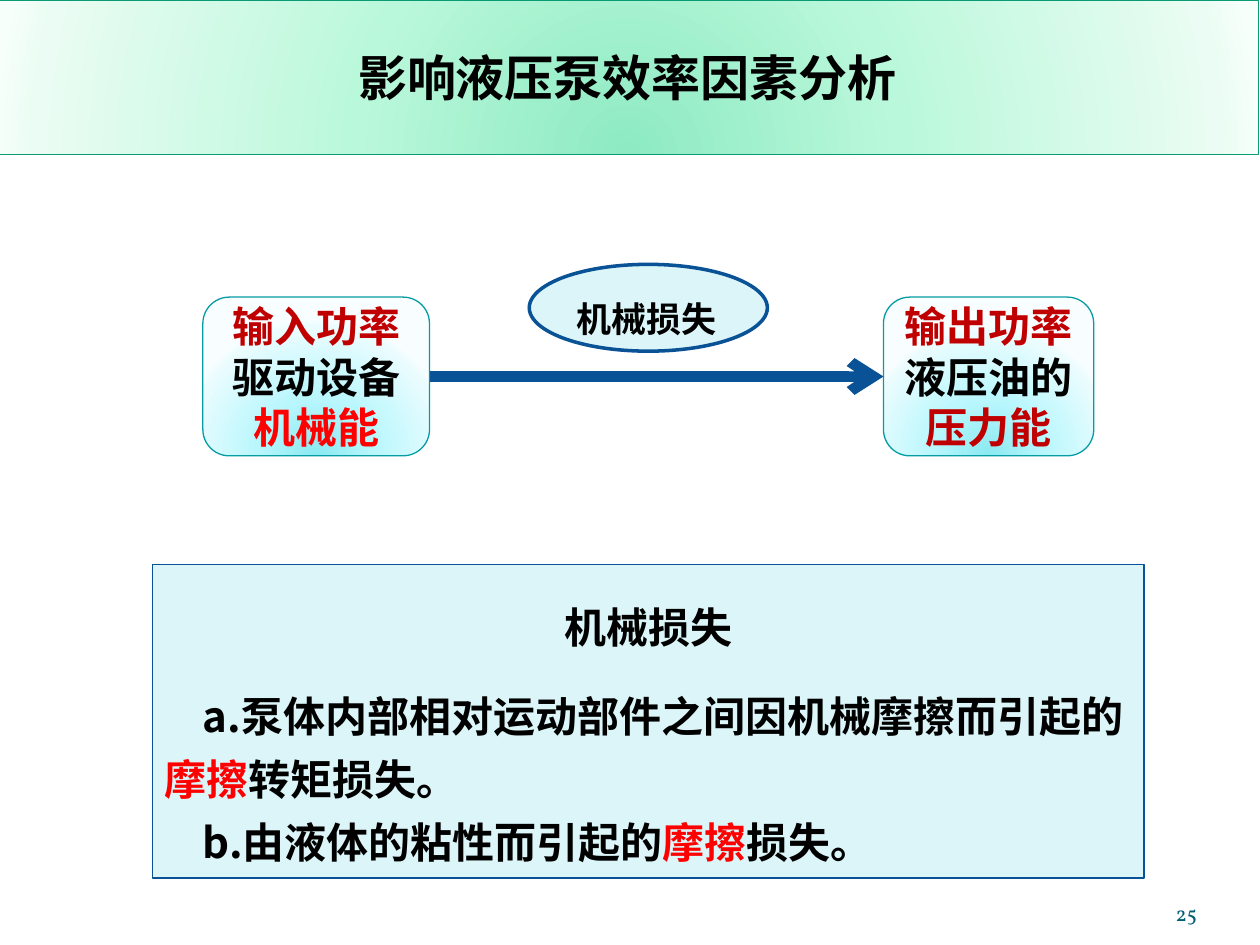
from dataclasses import dataclass

from lxml.etree import SubElement
from pptx import Presentation
from pptx.dml.color import RGBColor
from pptx.enum.shapes import MSO_CONNECTOR, MSO_SHAPE
from pptx.enum.text import MSO_ANCHOR, MSO_AUTO_SIZE, PP_ALIGN
from pptx.oxml.ns import qn
from pptx.util import Cm, Pt

CHINESE_FONT = "Noto Sans CJK SC"
NUMBER_FONT = "Vollkorn"

BLACK = RGBColor(0x00, 0x00, 0x00)
RED = RGBColor(0xFF, 0x00, 0x00)
DARK_RED = RGBColor(0xC0, 0x00, 0x00)
BLUE = RGBColor(0x09, 0x52, 0x95)
PALE_BLUE = RGBColor(0xDB, 0xF5, 0xF9)
TEAL = RGBColor(0x06, 0x9C, 0xA3)
GREEN = RGBColor(0x0A, 0x9B, 0x74)
NUMBER_BLUE = RGBColor(0x04, 0x5D, 0x75)

# Gradient stops: position in percent and colour
CYAN_GLOW = (
    (0, RGBColor(0x8B, 0xE9, 0xF1)),
    (43, RGBColor(0xB9, 0xF7, 0xFD)),
    (93, RGBColor(0xEA, 0xFC, 0xFE)),
    (100, RGBColor(0xF8, 0xFE, 0xFF)),
)
GREEN_GLOW = (
    (0, RGBColor(0x8D, 0xEA, 0xC2)),
    (43, RGBColor(0xBA, 0xF8, 0xDB)),
    (93, RGBColor(0xEA, 0xFC, 0xF3)),
    (100, RGBColor(0xF7, 0xFF, 0xFB)),
)


@dataclass(frozen=True)
class Frame:
    """Position and size in centimetres."""
    left: float
    top: float
    width: float
    height: float

    def lengths(self) -> tuple:
        return Cm(self.left), Cm(self.top), Cm(self.width), Cm(self.height)


@dataclass(frozen=True)
class Span:
    text: str
    color: RGBColor = BLACK


@dataclass(frozen=True)
class Line:
    spans: tuple
    size: float = 24
    align: PP_ALIGN = PP_ALIGN.CENTER
    spacing: float = 1.0
    after: float = 0
    indent: float = 0
    font: str = CHINESE_FONT
    bold: bool = True


@dataclass(frozen=True)
class PowerBox:
    frame: Frame
    lines: tuple


TITLE = Line((Span("影响液压泵效率因素分析"),), size=28)
TITLE_FRAME = Frame(-0.08, 0, 25.45, 3.12)
POWER_BOXES = (
    PowerBox(Frame(4.09, 5.99, 4.57, 3.2), (
        Line((Span("输入功率", DARK_RED),)),
        Line((Span("驱动设备"),)),
        Line((Span("机械能", RED),)),
    )),
    PowerBox(Frame(17.81, 5.99, 4.24, 3.2), (
        Line((Span("输出功率", DARK_RED),)),
        Line((Span("液压油的"),)),
        Line((Span("压力能", DARK_RED),)),
    )),
)
LOSS_LABEL = Line((Span("机械损失"),), size=20, align=PP_ALIGN.LEFT, spacing=1.5)
LOSS_LABEL_FRAME = Frame(10.67, 5.33, 4.8, 1.75)
LOSS_FRAME = Frame(3.07, 11.38, 19.99, 6.32)
LOSS_LINES = (
    Line((Span("机械损失"),), spacing=1.5, after=15),
    Line((Span("a.泵体内部相对运动部件之间因机械摩擦而引起的"),
          Span("摩擦", RED), Span("转矩损失。")),
         align=PP_ALIGN.LEFT, spacing=1.25, indent=0.76),
    Line((Span("b.由液体的粘性而引起的"), Span("摩擦", RED), Span("损失。")),
         align=PP_ALIGN.LEFT, spacing=1.25, indent=0.76),
)
PAGE_NUMBER = Line((Span("25", NUMBER_BLUE),), size=12, align=PP_ALIGN.RIGHT,
                   font=NUMBER_FONT, bold=False)
PAGE_NUMBER_FRAME = Frame(22.02, 17.65, 2.11, 1.02)


def place(shape, frame: Frame) -> None:
    shape.left, shape.top, shape.width, shape.height = frame.lengths()


def outline(shape, color: RGBColor, width: float) -> None:
    shape.line.color.rgb = color
    shape.line.width = Pt(width)


def fill_solid(shape, color: RGBColor) -> None:
    shape.fill.solid()
    shape.fill.fore_color.rgb = color


def fill_glow(shape, stops: tuple) -> None:
    """Fill with a circular gradient centred below the shape."""
    shape.fill.gradient()
    gradient = shape._element.spPr.find(qn("a:gradFill"))
    gradient.clear()
    stop_list = SubElement(gradient, qn("a:gsLst"))
    for position, color in stops:
        stop = SubElement(stop_list, qn("a:gs"), pos=str(position * 1000))
        SubElement(stop, qn("a:srgbClr"), val=str(color))
    circle = SubElement(gradient, qn("a:path"), path="circle")
    SubElement(circle, qn("a:fillToRect"), l="50000", t="130000", r="50000", b="-30000")


def write_lines(shape, lines: tuple, wrap: bool = True,
                anchor: MSO_ANCHOR = MSO_ANCHOR.MIDDLE) -> None:
    frame = shape.text_frame
    frame.auto_size = MSO_AUTO_SIZE.NONE
    frame.word_wrap = wrap
    frame.vertical_anchor = anchor
    for index, line in enumerate(lines):
        para = frame.add_paragraph() if index else frame.paragraphs[0]
        para.alignment = line.align
        para.line_spacing = line.spacing
        para.space_before = Pt(0)
        para.space_after = Pt(line.after)
        properties = para._p.get_or_add_pPr()
        properties.set("marL", "0")
        properties.set("indent", str(Cm(line.indent)))
        SubElement(properties, qn("a:buNone"))
        para.font.size = Pt(line.size)
        para.font.bold = line.bold
        para.font.name = line.font
        SubElement(properties.find(qn("a:defRPr")), qn("a:ea"), typeface=line.font)
        for span in line.spans:
            run = para.add_run()
            run.text = span.text
            run.font.color.rgb = span.color


def add_box(page, kind: MSO_SHAPE, frame: Frame):
    box = page.shapes.add_shape(kind, *frame.lengths())
    box.shadow.inherit = False
    return box


def add_power_box(page, power: PowerBox) -> None:
    box = add_box(page, MSO_SHAPE.ROUNDED_RECTANGLE, power.frame)
    fill_glow(box, CYAN_GLOW)
    outline(box, TEAL, 0.75)
    write_lines(box, power.lines, wrap=False)


def add_power_arrow(page, source: Frame, target: Frame) -> None:
    middle = Cm(source.top + source.height / 2)
    arrow = page.shapes.add_connector(
        MSO_CONNECTOR.STRAIGHT, Cm(source.left + source.width), middle,
        Cm(target.left), middle)
    outline(arrow, BLUE, 6)
    SubElement(arrow.line._get_or_add_ln(), qn("a:tailEnd"), type="arrow")
    SubElement(arrow._element.spPr, qn("a:effectLst"))


def main() -> None:
    deck = Presentation()
    deck.slide_width, deck.slide_height = Cm(25.4), Cm(19.05)
    page = deck.slides.add_slide(deck.slide_layouts[1])

    title = page.shapes.title
    place(title, TITLE_FRAME)
    fill_glow(title, GREEN_GLOW)
    outline(title, GREEN, 0.75)
    write_lines(title, (TITLE,))

    losses = page.placeholders[1]
    place(losses, LOSS_FRAME)
    fill_solid(losses, PALE_BLUE)
    outline(losses, BLUE, 0.75)
    write_lines(losses, LOSS_LINES)

    for power in POWER_BOXES:
        add_power_box(page, power)
    add_power_arrow(page, *(power.frame for power in POWER_BOXES))

    label = add_box(page, MSO_SHAPE.OVAL, LOSS_LABEL_FRAME)
    fill_solid(label, PALE_BLUE)
    outline(label, BLUE, 2)
    write_lines(label, (LOSS_LABEL,))

    number = page.shapes.add_textbox(*PAGE_NUMBER_FRAME.lengths())
    frame = number.text_frame
    frame.margin_left = frame.margin_right = frame.margin_top = frame.margin_bottom = 0
    write_lines(number, (PAGE_NUMBER,), anchor=MSO_ANCHOR.BOTTOM)

    deck.save("out.pptx")


if __name__ == "__main__":
    main()
